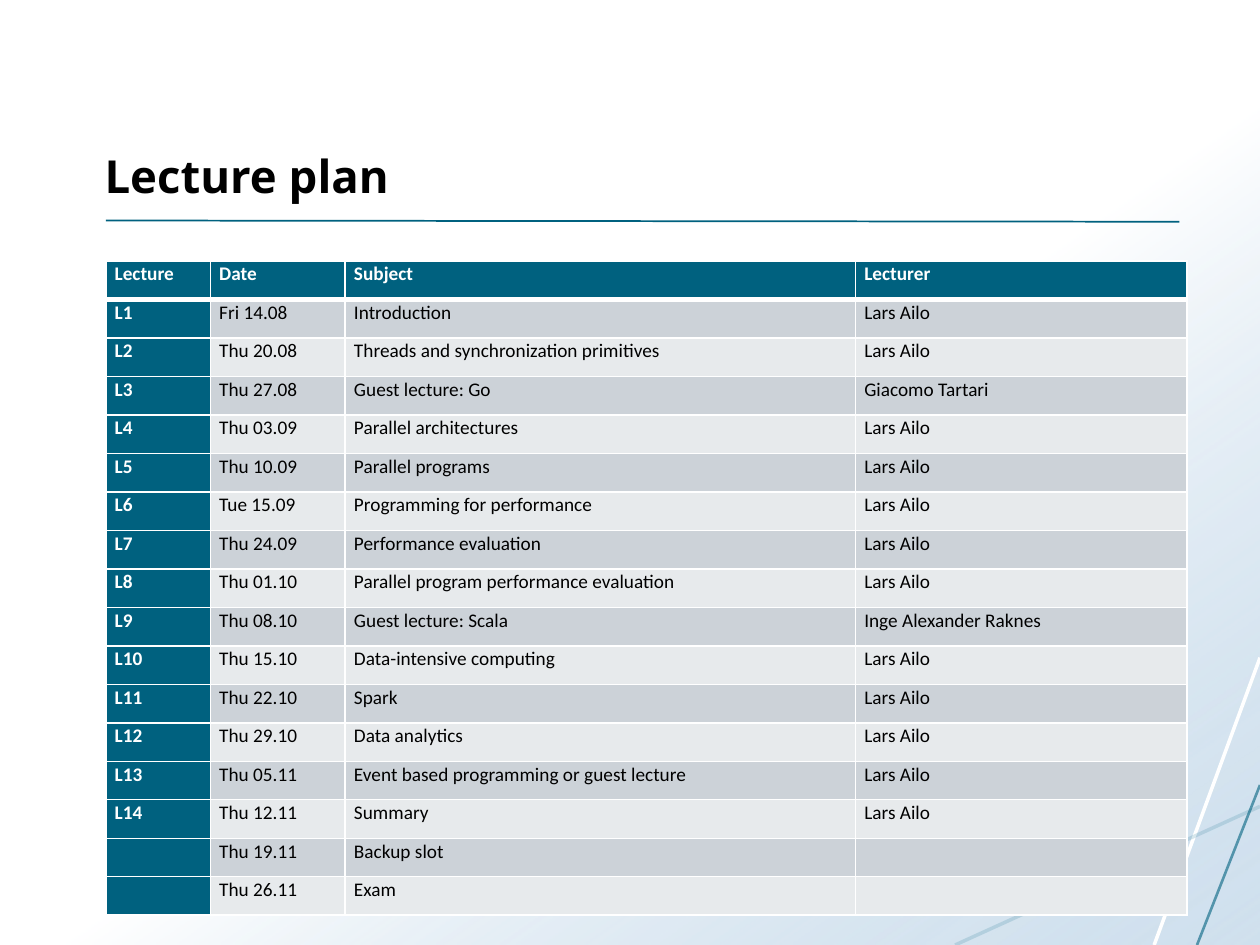
from typing import NamedTuple

from lxml.etree import SubElement
from pptx import Presentation
from pptx.dml.color import RGBColor
from pptx.enum.shapes import MSO_CONNECTOR, MSO_SHAPE
from pptx.enum.text import MSO_ANCHOR, MSO_AUTO_SIZE, PP_ALIGN
from pptx.oxml.ns import qn
from pptx.util import Inches, Pt

COLORS = {
    "white": "FFFFFF",
    "black": "000000",
    "sky": "A9C7E0",
    "blue": "15718F",
    "teal": "00617F",
    "odd": "CCD2D8",
    "even": "E7EAEC",
}


class Line(NamedTuple):
    x1: float
    y1: float
    x2: float
    y2: float
    color: str
    width: float
    alpha: int = 100


class Lecture(NamedTuple):
    code: str
    date: str
    subject: str
    teacher: str = "Lars Ailo"


LINES = [
    Line(10, 5.22, 9.16, 7.5, "white", 2),
    Line(10, 6.4, 7.58, 7.5, "blue", 2, 16),
    Line(10, 6.23, 9.5, 7.5, "teal", 1.5, 60),
    Line(0.84, 1.75, 9.36, 1.76, "teal", 1),
]
WIDTHS = [0.83, 1.07, 4.05, 2.63]
HEIGHT = 5.2
PLAN = [
    Lecture("Lecture", "Date", "Subject", "Lecturer"),
    Lecture("L1", "Fri 14.08", "Introduction"),
    Lecture("L2", "Thu 20.08", "Threads and synchronization primitives"),
    Lecture("L3", "Thu 27.08", "Guest lecture: Go", "Giacomo Tartari"),
    Lecture("L4", "Thu 03.09", "Parallel architectures"),
    Lecture("L5", "Thu 10.09", "Parallel programs"),
    Lecture("L6", "Tue 15.09", "Programming for performance"),
    Lecture("L7", "Thu 24.09", "Performance evaluation"),
    Lecture("L8", "Thu 01.10", "Parallel program performance evaluation"),
    Lecture("L9", "Thu 08.10", "Guest lecture: Scala", "Inge Alexander Raknes"),
    Lecture("L10", "Thu 15.10", "Data-intensive computing"),
    Lecture("L11", "Thu 22.10", "Spark"),
    Lecture("L12", "Thu 29.10", "Data analytics"),
    Lecture("L13", "Thu 05.11", "Event based programming or guest lecture"),
    Lecture("L14", "Thu 12.11", "Summary"),
    Lecture("", "Thu 19.11", "Backup slot", ""),
    Lecture("", "Thu 26.11", "Exam", ""),
]


def rgb(name: str) -> RGBColor:
    return RGBColor.from_string(COLORS[name])


def fade(node, alpha: int) -> None:
    tint = node.find(".//" + qn("a:srgbClr"))
    SubElement(tint, qn("a:alpha"), val=str(alpha * 1000))


def draw_back(slide) -> None:
    back = slide.shapes.add_shape(
        MSO_SHAPE.RECTANGLE, 0, 0, Inches(10), Inches(7.5))
    back.shadow.inherit = False
    back.line.fill.background()
    back.fill.gradient()
    back.fill.gradient_angle = 360 - 55
    first, last = back.fill.gradient_stops
    first.color.rgb, first.position = rgb("white"), 0.54
    last.color.rgb, last.position = rgb("sky"), 1
    stops = back._element.spPr.findall(".//" + qn("a:gs"))
    fade(stops[-1], 54)


def draw_line(slide, line: Line) -> None:
    ends = map(Inches, line[:4])
    shape = slide.shapes.add_connector(MSO_CONNECTOR.STRAIGHT, *ends)
    shape.line.color.rgb = rgb(line.color)
    shape.line.width = Pt(line.width)
    props = shape._element.spPr
    if line.alpha < 100:
        fade(props, line.alpha)
    SubElement(props, qn("a:effectLst"))


def set_title(slide) -> None:
    title = slide.shapes.title
    title.left, title.top = Inches(0.73), Inches(0.33)
    title.width, title.height = Inches(8.62), Inches(1.33)
    frame = title.text_frame
    frame.text = "Lecture plan"
    frame.auto_size = MSO_AUTO_SIZE.NONE
    frame.vertical_anchor = MSO_ANCHOR.BOTTOM
    para = frame.paragraphs[0]
    para.alignment = PP_ALIGN.LEFT
    font = para.font
    font.name, font.size, font.bold = "Open Sans", Pt(26), True
    font.color.rgb = rgb("black")
    slide.shapes._spTree.append(title._element)


def set_edge(cell, side: str, width: float) -> None:
    props = cell._tc.get_or_add_tcPr()
    edge = SubElement(props, qn("a:ln" + side), w=str(Pt(width)))
    fill = SubElement(edge, qn("a:solidFill"))
    SubElement(fill, qn("a:srgbClr"), val=COLORS["white"])


def fill_cell(cell, text: str, row: int, col: int) -> None:
    head = row == 0 or col == 0
    cell.margin_left = cell.margin_right = Inches(0.07)
    cell.margin_top = cell.margin_bottom = 0
    for side in "LRTB":
        thick = (row, side) in ((0, "B"), (1, "T"))
        set_edge(cell, side, 3 if thick else 1)
    cell.fill.solid()
    cell.fill.fore_color.rgb = rgb(
        "teal" if head else "odd" if row % 2 else "even")
    if not text:
        return
    cell.text = text
    para = cell.text_frame.paragraphs[0]
    para.line_spacing = 1.07
    font = para.font
    font.name, font.size, font.bold = "Calibri", Pt(11), head
    font.color.rgb = rgb("white" if head else "black")


def draw_plan(slide) -> None:
    table = slide.shapes.add_table(
        len(PLAN), len(WIDTHS), Inches(0.84), Inches(2.07),
        Inches(sum(WIDTHS)), Inches(HEIGHT)).table
    table.first_col = True
    for col, width in zip(table.columns, WIDTHS):
        col.width = Inches(width)
    for row, lecture in enumerate(PLAN):
        for col, text in enumerate(lecture):
            fill_cell(table.cell(row, col), text, row, col)


def main() -> None:
    deck = Presentation()
    deck.slide_width, deck.slide_height = Inches(10), Inches(7.5)
    slide = deck.slides.add_slide(deck.slide_layouts[5])
    draw_back(slide)
    for line in LINES:
        draw_line(slide, line)
    set_title(slide)
    draw_plan(slide)
    deck.save("out.pptx")


if __name__ == "__main__":
    main()
